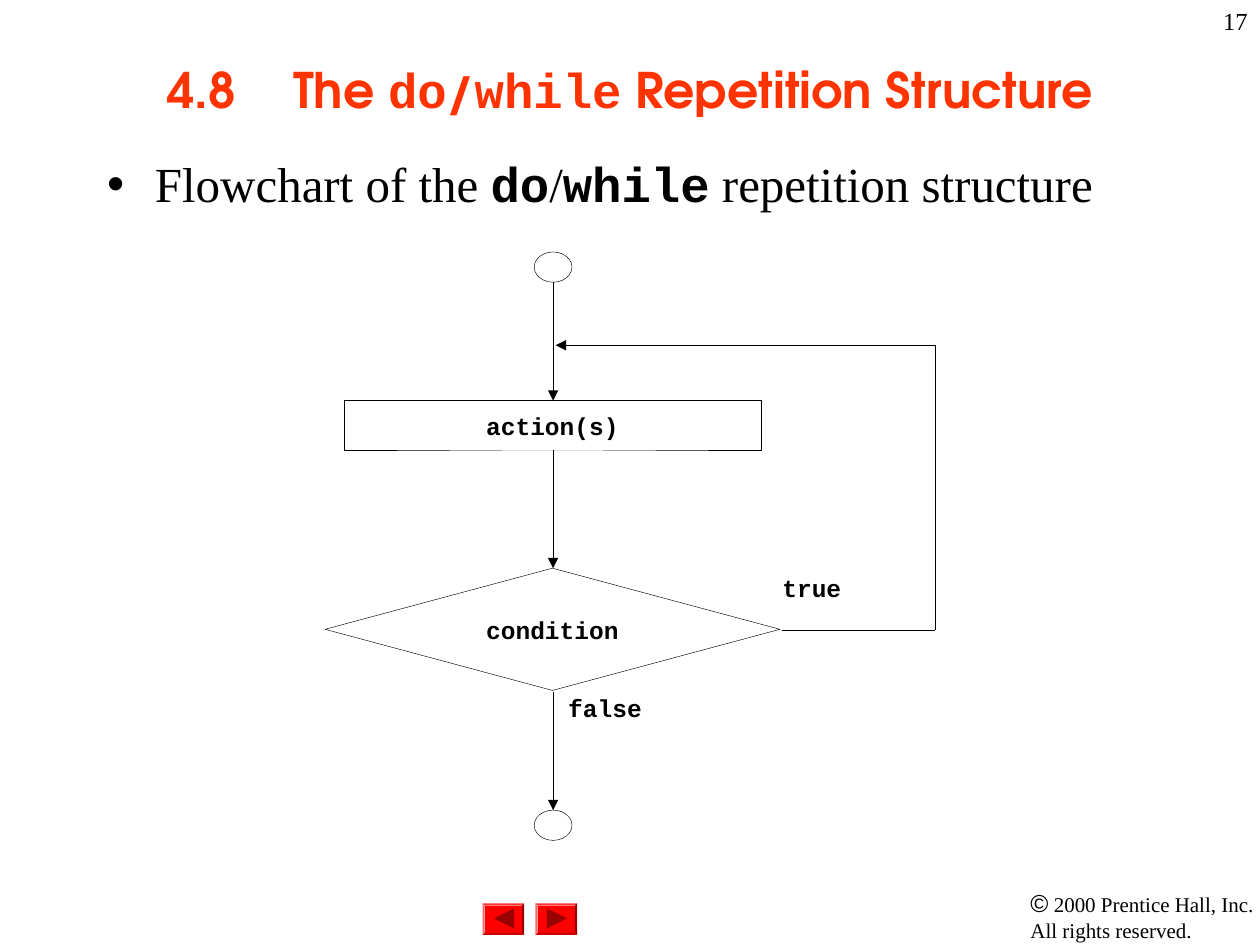
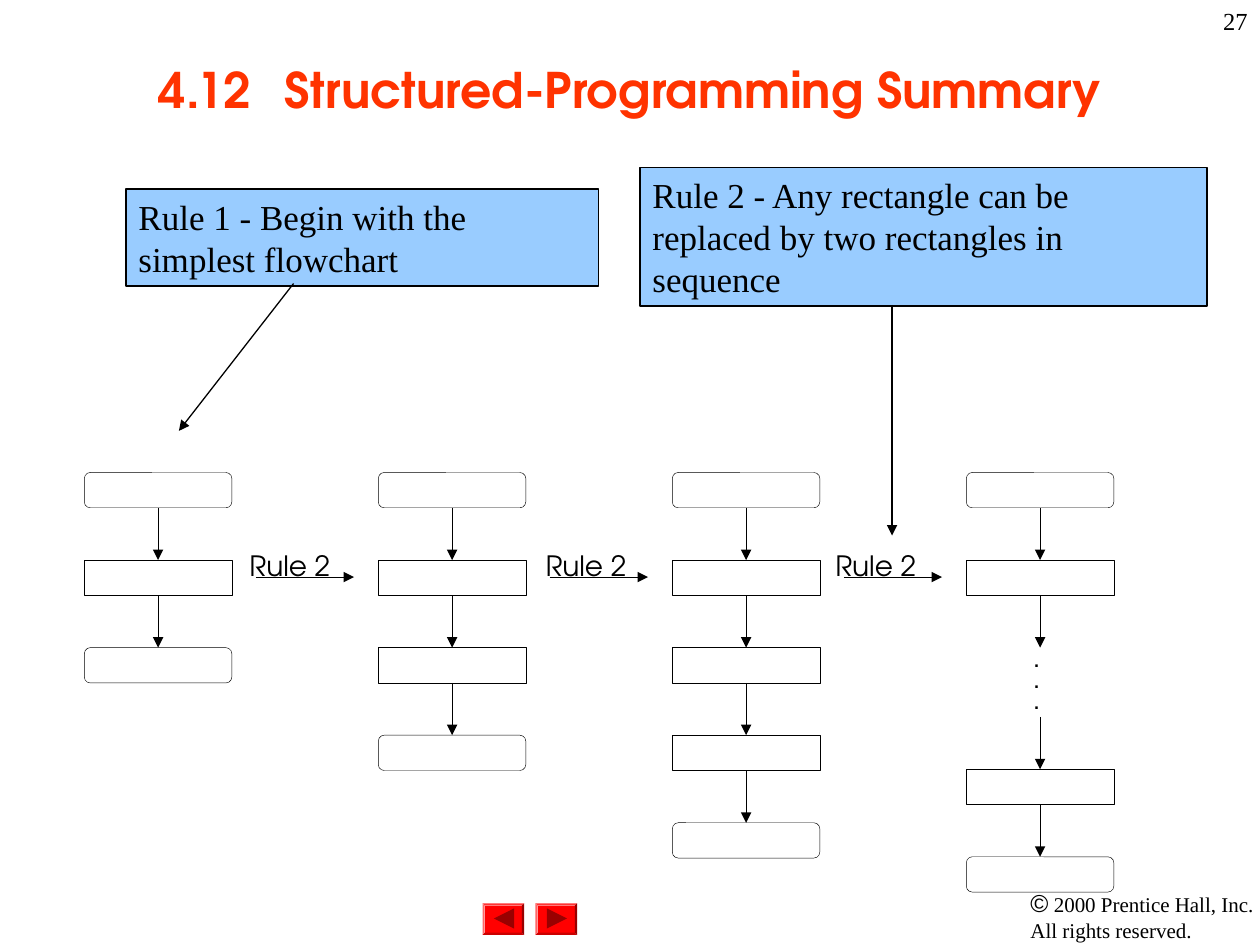
from lxml.etree import SubElement
from pptx import Presentation
from pptx.dml.color import RGBColor
from pptx.enum.shapes import MSO_CONNECTOR, MSO_SHAPE
from pptx.enum.text import MSO_ANCHOR, MSO_AUTO_SIZE, PP_ALIGN
from pptx.oxml.ns import qn
from pptx.util import Inches, Pt

COLORS = {
    "text": "000000",
    "title": "FF3300",
    "white": "FFFFFF",
    "callout": "99CCFF",
    "button": "FF0000",
    "button_arrow": "990000",
}
SERIF, SANS, MONO = "Times New Roman", "TeX Gyre Adventor", "Courier New"
TITLE_AND_BODY, TITLE_ONLY = 1, 5
THIN, MEDIUM = 0.25, 0.75
PADDING, NO_PADDING = (0.1, 0.05), (0, 0)


def color(name):
    return RGBColor.from_string(COLORS[name])


class SlideBuilder:
    """Holds the deck, its shared style and the slide being drawn."""

    def __init__(self):
        self.deck = Presentation()
        self.deck.slide_width = Inches(10)
        self.deck.slide_height = Inches(7.5)
        self.page = None

    def start_page(self, layout, number, title_spans):
        self.page = self.deck.slides.add_slide(self.deck.slide_layouts[layout])
        self.footer()
        self.text(7.92, 0, 2.08, 0.5, [str(number)], 14, align=PP_ALIGN.RIGHT,
                  padding=PADDING)
        self.title(title_spans)

    def footer(self):
        notice = self.text(8.08, 7, 1.92, 0.5, [""], 12, padding=PADDING)
        notice.margin_right = 0
        para = notice.paragraphs[0]
        sign = para.add_run()
        sign.text = "©"
        self.style_font(sign.font, 14, "Arial")
        para.add_run().text = " 2000 Prentice Hall, Inc."
        para.add_line_break()
        para.add_run().text = "All rights reserved."
        for left, turn in ((3.83, -90), (4.25, 90)):
            button = self.shape(MSO_SHAPE.BEVEL, left, 7.17, 0.33, 0.25,
                                fill="button", line_width=None)
            button.adjustments[0] = 0.07
            arrow = self.shape(MSO_SHAPE.ISOSCELES_TRIANGLE, left + 0.09, 7.21,
                               0.16, 0.16, fill="button_arrow", line_width=None)
            arrow.rotation = turn

    def style_font(self, font, size, name=SERIF, bold=False, tint="text"):
        font.size = Pt(size)
        font.name = name
        font.bold = bold
        font.color.rgb = color(tint)

    def style_frame(self, frame, anchor, padding):
        frame.word_wrap = True
        frame.auto_size = MSO_AUTO_SIZE.NONE
        frame.vertical_anchor = anchor
        frame.margin_left = frame.margin_right = Inches(padding[0])
        frame.margin_top = frame.margin_bottom = Inches(padding[1])

    def place(self, box, left, top, width, height):
        box.left, box.top = Inches(left), Inches(top)
        box.width, box.height = Inches(width), Inches(height)

    def add_spans(self, para, spans):
        """Add (text, font name, bold) runs to a paragraph."""
        for text, name, bold in spans:
            span = para.add_run()
            span.text = text
            span.font.name = name
            span.font.bold = bold

    def title(self, spans):
        box = self.page.shapes.title
        self.place(box, 0.75, 0.08, 8.5, 1.25)
        self.style_frame(box.text_frame, MSO_ANCHOR.MIDDLE, PADDING)
        para = box.text_frame.paragraphs[0]
        tabs = SubElement(para._p.get_or_add_pPr(), qn("a:tabLst"))
        SubElement(tabs, qn("a:tab"), pos=str(Inches(1)), algn="l")
        para.alignment = PP_ALIGN.CENTER
        self.style_font(para.font, 28, SANS, True, "title")
        self.add_spans(para, spans)

    def bullet(self, spans):
        box = self.page.placeholders[1]
        self.place(box, 0.75, 1.17, 8.5, 5.92)
        self.style_frame(box.text_frame, MSO_ANCHOR.TOP, PADDING)
        para = box.text_frame.paragraphs[0]
        properties = para._p.get_or_add_pPr()
        properties.set("marL", str(Inches(0.38)))
        properties.set("indent", str(-Inches(0.38)))
        SubElement(properties, qn("a:buChar"), char="•")
        para.space_before = Pt(0)
        self.style_font(para.font, 28)
        self.add_spans(para, spans)

    def fill_frame(self, frame, lines, size, name=SERIF, bold=False,
                   align=PP_ALIGN.LEFT, anchor=MSO_ANCHOR.TOP,
                   padding=NO_PADDING):
        self.style_frame(frame, anchor, padding)
        for index, line in enumerate(lines):
            para = frame.add_paragraph() if index else frame.paragraphs[0]
            para.text = line
            para.alignment = align
            self.style_font(para.font, size, name, bold)

    def text(self, left, top, width, height, lines, size, **style):
        box = self.page.shapes.add_textbox(
            Inches(left), Inches(top), Inches(width), Inches(height))
        self.fill_frame(box.text_frame, lines, size, **style)
        return box.text_frame

    def shape(self, kind, left, top, width, height, fill=None, line_width=THIN):
        shape = self.page.shapes.add_shape(
            kind, Inches(left), Inches(top), Inches(width), Inches(height))
        shape.shadow.inherit = False
        if fill:
            shape.fill.solid()
            shape.fill.fore_color.rgb = color(fill)
        else:
            shape.fill.background()
        if line_width:
            shape.line.color.rgb = color("text")
            shape.line.width = Pt(line_width)
        else:
            shape.line.fill.background()
        return shape

    def line(self, start, end, width=THIN, arrow=True):
        connector = self.page.shapes.add_connector(
            MSO_CONNECTOR.STRAIGHT, *map(Inches, start + end))
        connector.line.color.rgb = color("text")
        connector.line.width = Pt(width)
        properties = connector.element.spPr
        if arrow:
            SubElement(properties.find(qn("a:ln")), qn("a:tailEnd"),
                       type="triangle")
        SubElement(properties, qn("a:effectLst"))

    def code_node(self, kind, left, top, width, height, label, fill=None):
        node = self.shape(kind, left, top, width, height, fill)
        self.fill_frame(node.text_frame, [label], 14, name=MONO, bold=True,
                        align=PP_ALIGN.CENTER, anchor=MSO_ANCHOR.MIDDLE)

    def callout(self, left, top, width, height, message, start, end):
        box = self.shape(MSO_SHAPE.RECTANGLE, left, top, width, height,
                         "callout", MEDIUM)
        self.fill_frame(box.text_frame, [message], 20, padding=PADDING)
        self.line(start, end, MEDIUM)

    def flow_column(self, left, nodes):
        """Stack nodes downwards, joined by arrows."""
        width, box_height, dots_height, gap = 1.17, 0.28, 0.55, 0.415
        center, top = left + width / 2, 3.75
        for index, node in enumerate(nodes):
            if index:
                self.line((center, top), (center, top + gap))
                top += gap
            if node == "dots":
                self.text(center - 0.07, top + 0.02, 0.2, 0.6, ["."] * 3, 10,
                          name=MONO, bold=True)
                top += dots_height
            else:
                kind = (MSO_SHAPE.ROUNDED_RECTANGLE if node == "end"
                        else MSO_SHAPE.RECTANGLE)
                self.shape(kind, left, top, width, box_height)
                top += box_height


def draw_do_while(builder):
    builder.start_page(TITLE_AND_BODY, 17, [
        ("4.8\tThe ", SANS, True), ("do", MONO, True), ("/", SANS, True),
        ("while", MONO, True), (" Repetition Structure", SANS, True)])
    builder.bullet([
        ("Flowchart of the ", SERIF, False), ("do", MONO, True),
        ("/", SERIF, False), ("while", MONO, True),
        (" repetition structure", SERIF, False)])

    center, loop_right, loop_top, condition_middle = 4.39, 7.42, 2.74, 5
    for top in (2, 6.43):
        builder.shape(MSO_SHAPE.OVAL, center - 0.15, top, 0.3, 0.24)
    for top, bottom in ((2.24, 3.18), (3.57, 4.51), (5.49, 6.43)):
        builder.line((center, top), (center, bottom))
    builder.code_node(MSO_SHAPE.RECTANGLE, 2.73, 3.18, 3.31, 0.39, "action(s)")
    builder.code_node(MSO_SHAPE.DIAMOND, 2.58, 4.51, 3.61, 0.97, "condition",
                      "white")

    corner_bottom, corner_top = (loop_right, condition_middle), (loop_right, loop_top)
    builder.line((6.21, condition_middle), corner_bottom, arrow=False)
    builder.line(corner_bottom, corner_top, arrow=False)
    builder.line(corner_top, (center + 0.02, loop_top))
    for label, left, top in (("true", 6.21, 4.55), ("false", 4.51, 5.5)):
        builder.text(left, top, 1.2, 0.47, [label], 14, name=MONO, bold=True)


def draw_summary(builder):
    builder.start_page(TITLE_ONLY, 27, [
        ("4.12\tStructured-Programming Summary", SANS, True)])
    columns = [["end"] + ["box"] * count + ["end"] for count in (1, 2, 3)]
    columns.append(["end", "box", "dots", "box", "end"])
    lefts = [0.67 + index * 7 / 3 for index in range(len(columns))]
    for left, nodes in zip(lefts, columns):
        builder.flow_column(left, nodes)
    for left, label_left in zip(lefts, (1.98, 4.33, 6.63)):
        builder.line((left + 1.36, 4.58), (left + 2.14, 4.58))
        builder.text(label_left, 4.35, 0.97, 0.19, ["Rule 2"], 16, name=SANS)

    builder.callout(1, 1.5, 3.75, 0.77,
                    "Rule 1 - Begin with the simplest flowchart",
                    (2.33, 2.25), (1.42, 3.42))
    builder.callout(5.08, 1.33, 4.5, 1.1,
                    "Rule 2 - Any rectangle can be replaced by two "
                    "rectangles in sequence",
                    (7.08, 2.42), (7.08, 4.25))


def main():
    builder = SlideBuilder()
    draw_do_while(builder)
    draw_summary(builder)
    builder.deck.save("out.pptx")


if __name__ == "__main__":
    main()
